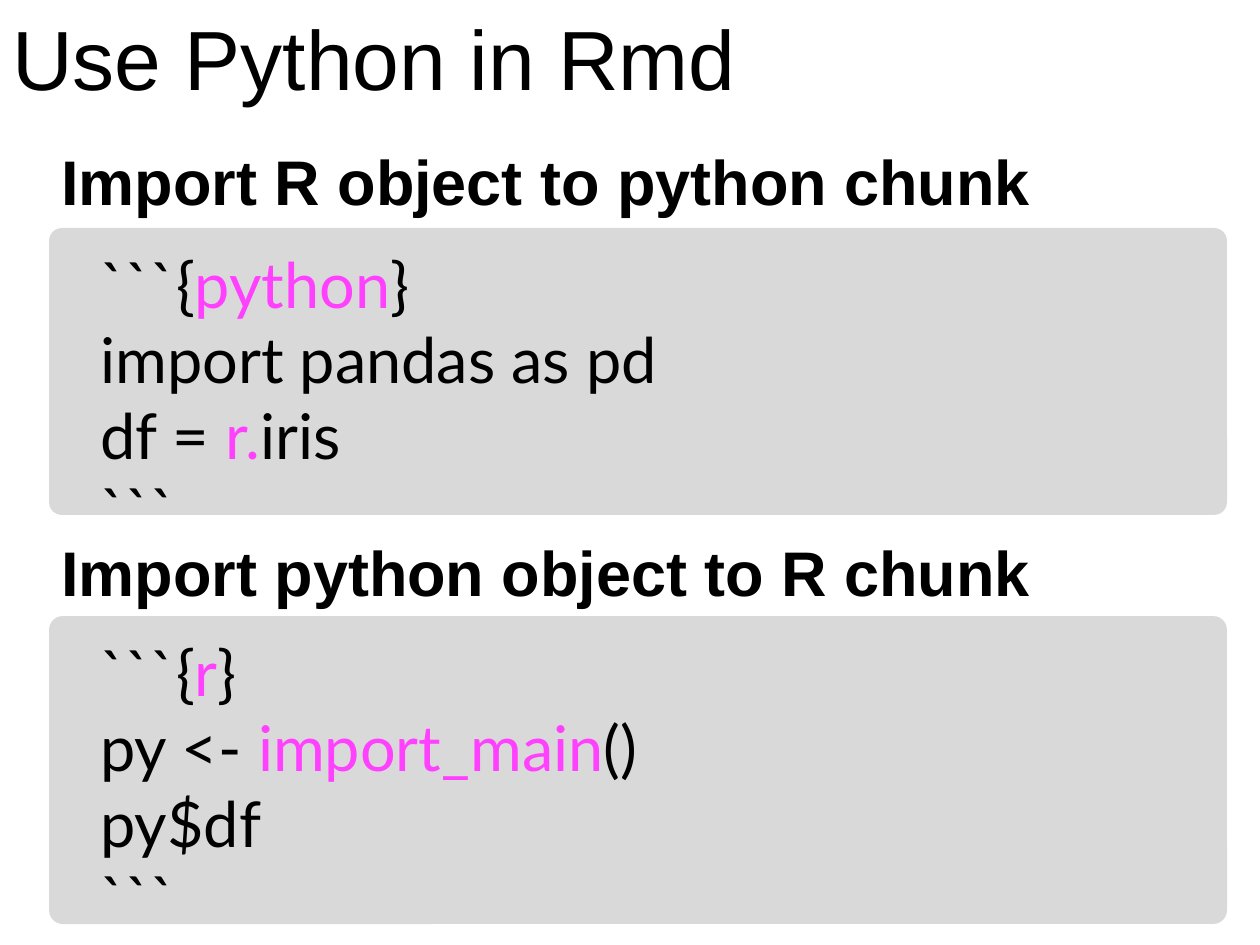
from pptx import Presentation
from pptx.dml.color import RGBColor
from pptx.enum.shapes import MSO_SHAPE
from pptx.enum.text import MSO_AUTO_SIZE
from pptx.util import Emu, Pt

PX = 914400 // 126
COLORS = {"text": "000000", "accent": "FF40FF", "panel": "D9D9D9"}

# Content: each code line is a list of (text, color name) runs
TITLE = "Use Python in Rmd"
SECTIONS = [
    {
        "heading": "Import R object to python chunk",
        "heading_top": 136, "panel_top": 228, "panel_height": 287,
        "code": [
            [("```{", "text"), ("python", "accent"), ("}", "text")],
            [("import pandas as pd", "text")],
            [("df = ", "text"), ("r.", "accent"), ("iris", "text")],
            [("```", "text")],
        ],
    },
    {
        "heading": "Import python object to R chunk",
        "heading_top": 527, "panel_top": 616, "panel_height": 308,
        "code": [
            [("```{", "text"), ("r", "accent"), ("}", "text")],
            [("py <- ", "text"), ("import_main", "accent"), ("()", "text")],
            [("py$df", "text")],
            [("```", "text")],
        ],
    },
]
PANEL_LEFT, PANEL_WIDTH = 49, 1178
CODE_LEFT, CODE_WIDTH, CODE_HEIGHT, CODE_OFFSET = 88, 1103, 318, 11


def px(*lengths):
    return [Emu(length * PX) for length in lengths]


def add_text(slide, box, lines, font_name, size, bold=False, wrap=False):
    frame = slide.shapes.add_textbox(*px(*box)).text_frame
    frame.word_wrap = wrap
    frame.auto_size = MSO_AUTO_SIZE.SHAPE_TO_FIT_TEXT
    for index, line in enumerate(lines):
        paragraph = frame.add_paragraph() if index else frame.paragraphs[0]
        for text, color in line:
            run = paragraph.add_run()
            run.text = text
            run.font.name = font_name
            run.font.size = Pt(size)
            run.font.bold = bold
            run.font.color.rgb = RGBColor.from_string(COLORS[color])


def add_panel(slide, top, height):
    panel = slide.shapes.add_shape(
        MSO_SHAPE.ROUNDED_RECTANGLE, *px(PANEL_LEFT, top, PANEL_WIDTH, height))
    panel.adjustments[0] = 0.045
    panel.shadow.inherit = False
    panel.fill.solid()
    panel.fill.fore_color.rgb = RGBColor.from_string(COLORS["panel"])
    panel.line.fill.background()


def main():
    presentation = Presentation()
    presentation.slide_width, presentation.slide_height = px(1260, 945)
    slide = presentation.slides.add_slide(presentation.slide_layouts[6])

    # Title
    add_text(slide, (0, 0, 780, 115), [[(TITLE, "text")]], "Arial", 48)

    # Heading, panel and code for each direction of import
    for section in SECTIONS:
        add_text(slide, (PANEL_LEFT, section["heading_top"], 1004, 89),
                 [[(section["heading"], "text")]], "Arial", 36, bold=True)
        add_panel(slide, section["panel_top"], section["panel_height"])
        code_top = section["panel_top"] + CODE_OFFSET
        add_text(slide, (CODE_LEFT, code_top, CODE_WIDTH, CODE_HEIGHT),
                 section["code"], "Lato", 36, wrap=True)

    presentation.save("out.pptx")


if __name__ == "__main__":
    main()
